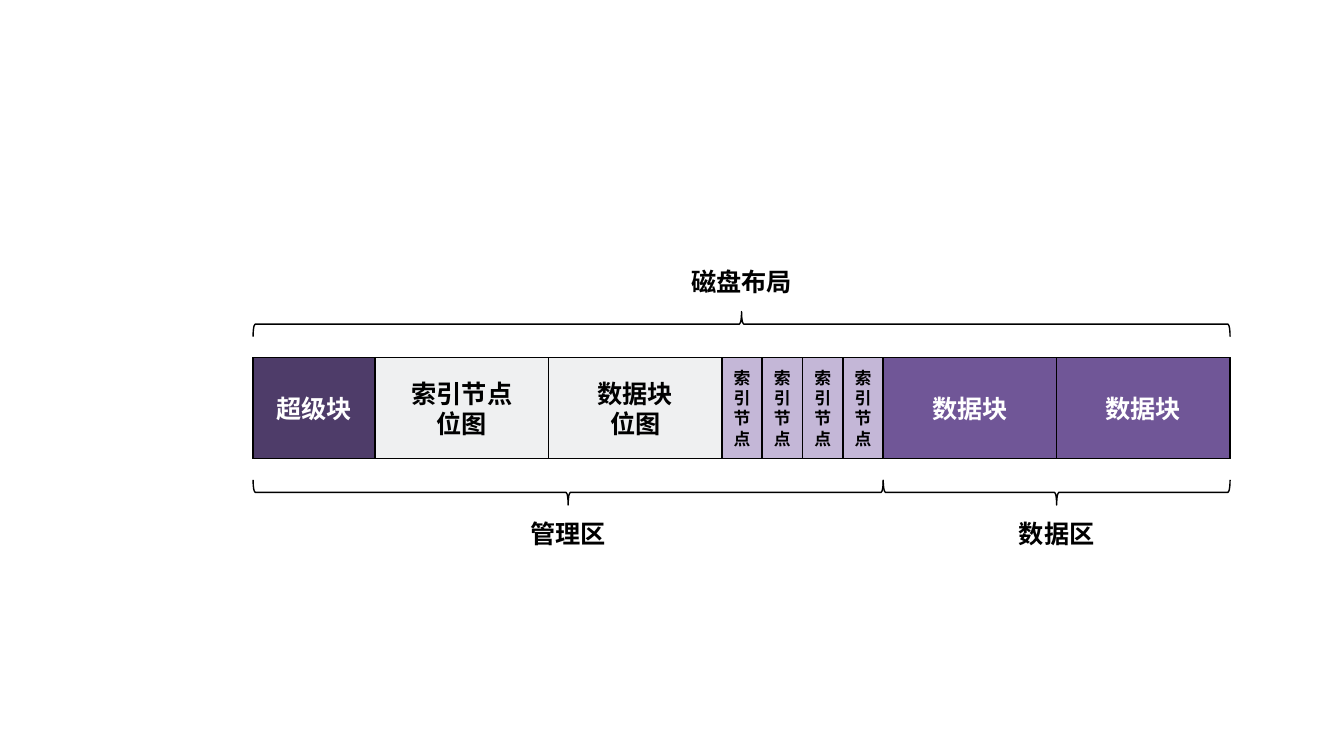
from pptx import Presentation
from pptx.dml.color import RGBColor
from pptx.enum.shapes import MSO_SHAPE
from pptx.enum.text import MSO_ANCHOR, PP_ALIGN
from pptx.util import Pt

PX = 9144
BLACK = RGBColor(0x00, 0x00, 0x00)
WHITE = RGBColor(0xFF, 0xFF, 0xFF)
PALE = RGBColor(0xEF, 0xF0, 0xF1)
DARK_PURPLE = RGBColor(0x4E, 0x3C, 0x69)
LILAC = RGBColor(0xC4, 0xB7, 0xD7)
PURPLE = RGBColor(0x70, 0x56, 0x97)

BRACE_DEPTH = 25
LABEL_HEIGHT = 40

SUPERBLOCK = ("超级块", 121, DARK_PURPLE, WHITE, 18)
INODE_BITMAP = ("索引节点\n位图", 172, PALE, BLACK, 18)
DATA_BITMAP = ("数据块\n位图", 172, PALE, BLACK, 18)
INODE = ("索引节点", 40, LILAC, BLACK, 12)
DATA_BLOCK = ("数据块", 172, PURPLE, WHITE, 18)
MANAGEMENT = [SUPERBLOCK, INODE_BITMAP, DATA_BITMAP] + [INODE] * 4
DATA = [DATA_BLOCK] * 2


def total_width(blocks):
    return sum(width for _, width, *_ in blocks)


def write(frame, text, font_name, size, color):
    frame.text = text
    for paragraph in frame.paragraphs:
        paragraph.alignment = PP_ALIGN.CENTER
        for key, value in {"name": font_name, "size": Pt(size), "bold": True}.items():
            setattr(paragraph.font, key, value)
        paragraph.font.color.rgb = color


def add_outlined(slide, kind, left, top, width, height, fill=None):
    outlined = slide.shapes.add_shape(kind, *(round(v * PX) for v in (left, top, width, height)))
    outlined.shadow.inherit = False
    if fill is None:
        outlined.fill.background()
    else:
        outlined.fill.solid()
        outlined.fill.fore_color.rgb = fill
    outlined.line.color.rgb = BLACK
    outlined.line.width = Pt(1)
    return outlined


def draw_disk(slide, left, top, height, blocks):
    add_outlined(slide, MSO_SHAPE.RECTANGLE, left, top, total_width(blocks), height, PALE)
    for text, width, fill, color, size in blocks:
        block = add_outlined(slide, MSO_SHAPE.RECTANGLE, left, top, width, height, fill)
        block.text_frame.word_wrap = True
        block.text_frame.vertical_anchor = MSO_ANCHOR.MIDDLE
        write(block.text_frame, text, "Times New Roman", size, color)
        left += width


def draw_brace(slide, left, top, span, rotation, text, label_offset, label_width):
    center = left + span / 2
    brace = add_outlined(slide, MSO_SHAPE.RIGHT_BRACE, center - BRACE_DEPTH / 2,
                         top + (BRACE_DEPTH - span) / 2, BRACE_DEPTH, span)
    brace.rotation = rotation
    label = slide.shapes.add_textbox(*(round(v * PX) for v in (
        center - label_width / 2, top + label_offset, label_width, LABEL_HEIGHT)))
    label.text_frame.word_wrap = False
    write(label.text_frame, text, "Calibri", 18, BLACK)


def draw_layout(slide, left, top, height):
    blocks = MANAGEMENT + DATA
    management_width = total_width(MANAGEMENT)
    lower_top = top + height + 21
    draw_disk(slide, left, top, height, blocks)
    draw_brace(slide, left, top - 46, total_width(blocks), 270, "磁盘布局", -50, 120)
    draw_brace(slide, left, lower_top, management_width, 90, "管理区", 33, 95)
    draw_brace(slide, left + management_width, lower_top, total_width(DATA), 90,
               "数据区", 33, 95)


def main():
    deck = Presentation()
    deck.slide_width, deck.slide_height = 1333 * PX, 750 * PX
    slide = deck.slides.add_slide(deck.slide_layouts[6])
    draw_layout(slide, 251, 355, 100)
    deck.save("out.pptx")


if __name__ == "__main__":
    main()
